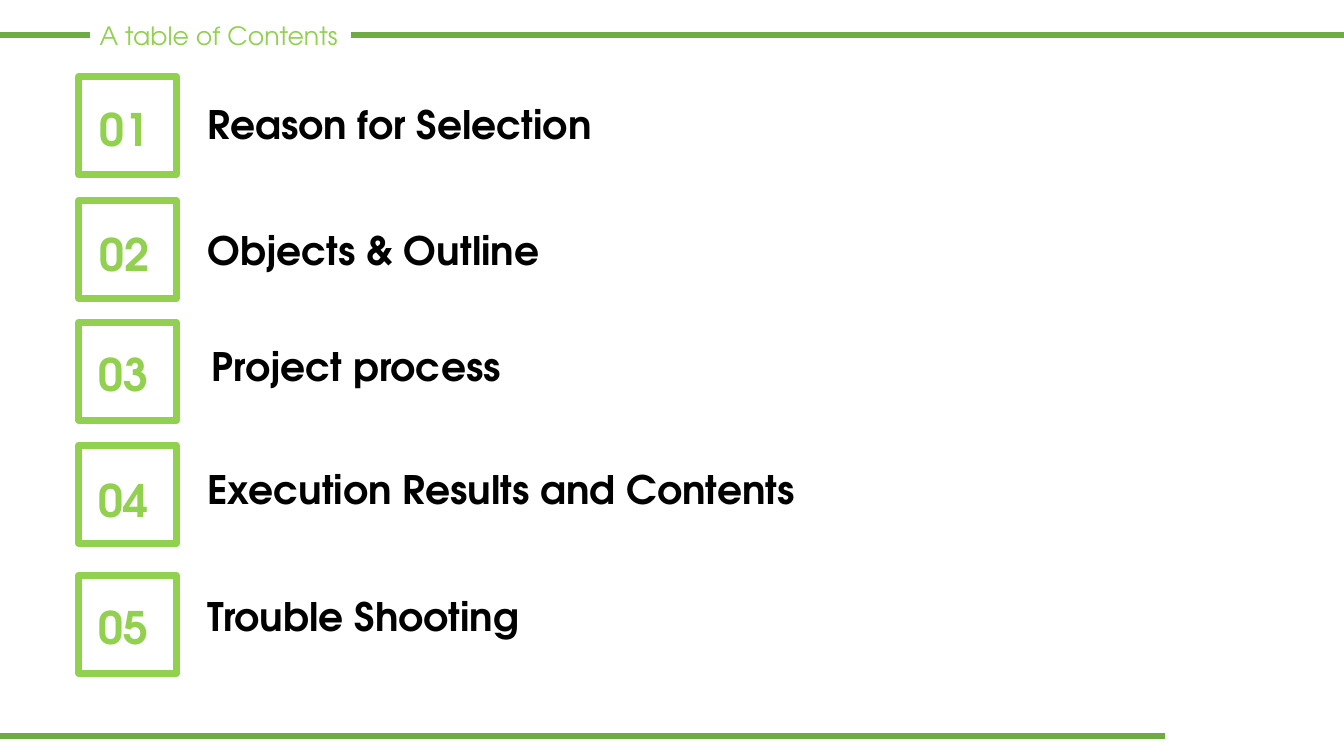
"""Build the table of contents slide."""
import pptx
import pptx.util
import pptx.dml.color
import pptx.enum.shapes
import pptx.oxml.ns
import lxml.etree

Pt = pptx.util.Pt

COLORS = {"rule": "6DAC43", "accent": "92D050", "title": "000000"}
FONT = "TeX Gyre Adventor"
STYLES = {
    "heading": {"size": Pt(18), "name": FONT},
    "number": {"size": Pt(32), "name": FONT, "bold": True},
    "title": {"size": Pt(28), "name": FONT, "bold": True},
}
HEADING = "A table of Contents"
RULES = [(0, 64.08, 25.2), (250.56, 960, 25.2), (0, 832.32, 525.6)]
SECTIONS = [
    {"title": "Reason for Selection", "frame_top": 54.72,
     "number_at": (64.08, 69.12), "title_at": (141.12, 68.4)},
    {"title": "Objects & Outline", "frame_top": 143.28,
     "number_at": (64.08, 158.4), "title_at": (141.12, 158.4)},
    {"title": "Project process", "frame_top": 230.4,
     "number_at": (63.36, 244.08), "title_at": (144, 241.2)},
    {"title": "Execution Results and Contents", "frame_top": 318.24,
     "number_at": (63.36, 334.08), "title_at": (141.12, 329.04)},
    {"title": "Trouble Shooting", "frame_top": 411.12,
     "number_at": (63.36, 424.8), "title_at": (141.12, 419.76)},
]
FRAME_LEFT, FRAME_SIDE = 56.16, 69.84
NUMBER_SIZE, TITLE_SIZE = (69.12, 46.08), (497.52, 41.04)


def rgb(role):
    return pptx.dml.color.RGBColor.from_string(COLORS[role])


def add_rule(slide, left, right, y):
    rule = slide.shapes.add_connector(
        pptx.enum.shapes.MSO_CONNECTOR.STRAIGHT, Pt(left), Pt(y), Pt(right), Pt(y))
    rule.line.color.rgb = rgb("rule")
    rule.line.width = Pt(4)
    lxml.etree.SubElement(rule._element.spPr, pptx.oxml.ns.qn("a:effectLst"))


def add_label(slide, text, position, size, style, color):
    label = slide.shapes.add_textbox(*map(Pt, position + size))
    label.text_frame.word_wrap = True
    run = label.text_frame.paragraphs[0].add_run()
    run.text = text
    for attribute, value in STYLES[style].items():
        setattr(run.font, attribute, value)
    run.font.color.rgb = rgb(color)


def add_frame(slide, top):
    frame = slide.shapes.add_shape(
        pptx.enum.shapes.MSO_SHAPE.RECTANGLE,
        Pt(FRAME_LEFT), Pt(top), Pt(FRAME_SIDE), Pt(FRAME_SIDE))
    frame.shadow.inherit = False
    frame.fill.background()
    frame.line.color.rgb = rgb("accent")
    frame.line.width = Pt(5)


def main():
    deck = pptx.Presentation()
    deck.slide_width, deck.slide_height = Pt(960), Pt(540)
    slide = deck.slides.add_slide(deck.slide_layouts[6])
    for rule in RULES:
        add_rule(slide, *rule)
    add_label(slide, HEADING, (64.08, 10.8), (187.2, 28.8), "heading", "accent")
    for index, section in enumerate(SECTIONS, start=1):
        add_frame(slide, section["frame_top"])
        add_label(slide, f"{index:02d}", section["number_at"], NUMBER_SIZE,
                  "number", "accent")
        add_label(slide, section["title"], section["title_at"], TITLE_SIZE,
                  "title", "title")
    deck.save("out.pptx")


if __name__ == "__main__":
    main()
